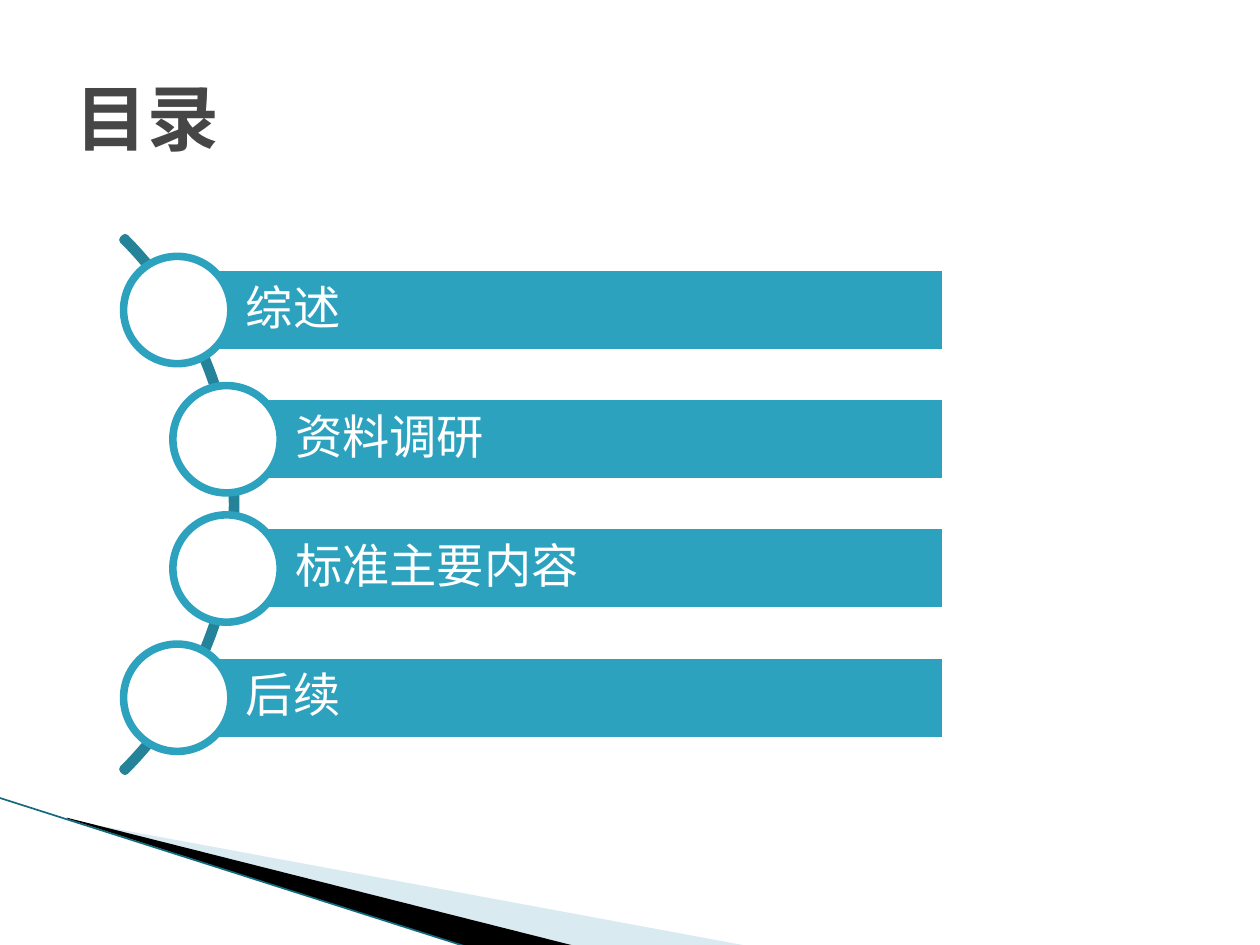
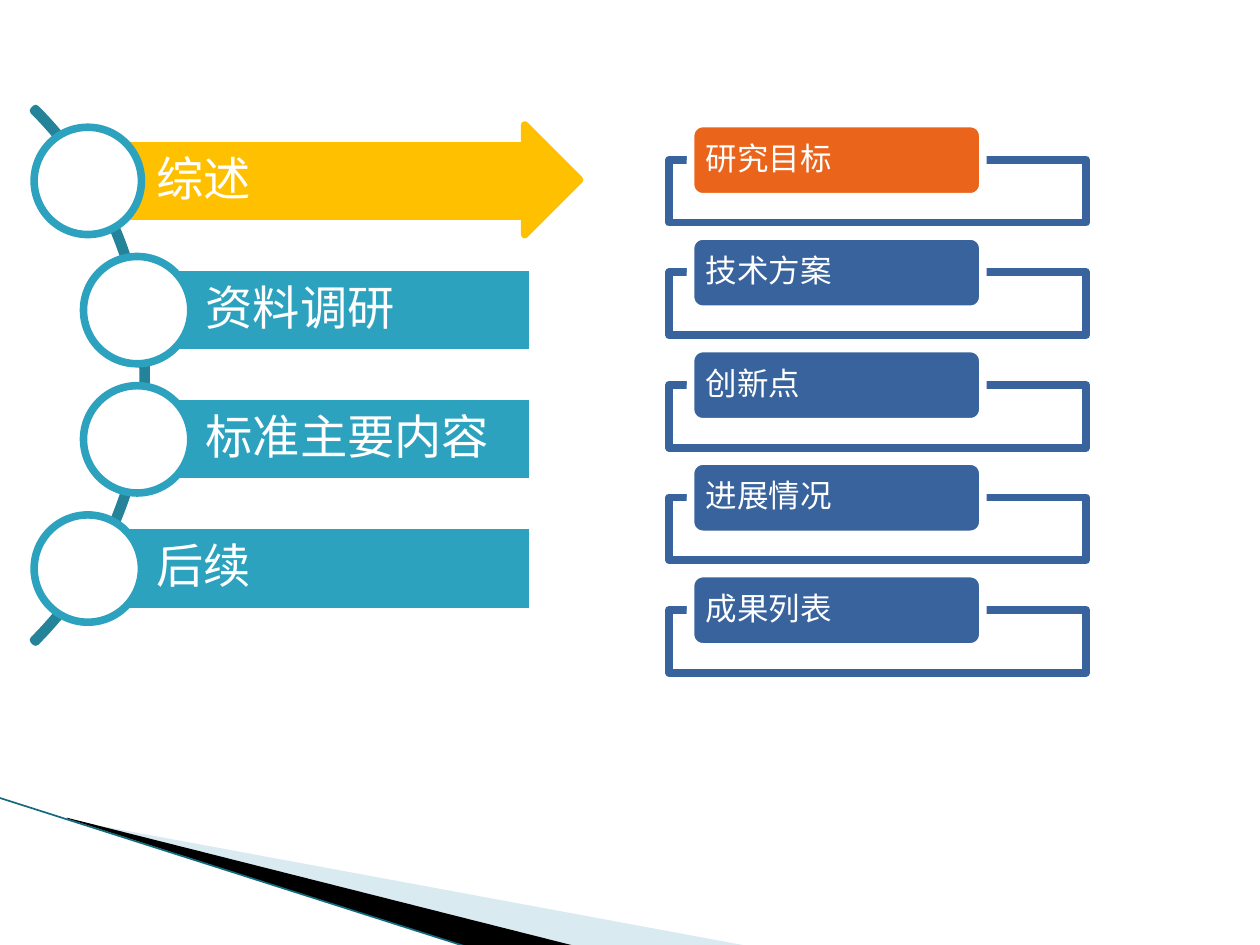
from dataclasses import dataclass

from lxml.etree import SubElement
from pptx import Presentation
from pptx.dml.color import RGBColor
from pptx.enum.shapes import MSO_CONNECTOR, MSO_SHAPE
from pptx.enum.text import MSO_ANCHOR, PP_ALIGN
from pptx.oxml.ns import qn
from pptx.util import Pt

COLORS = {
    "white": "FFFFFF", "black": "000000", "title": "464646",
    "teal": "2DA2BF", "arc": "248299", "gold": "FFC000",
    "blue": "39639D", "orange": "EB641B",
    "pale": "A0CBDC", "edge": "126B7D",
}
FONT = "Courier New"
OUTLINE = 4.33


@dataclass
class Box:
    left: float
    top: float
    width: float
    height: float

    def lengths(self) -> tuple:
        return Pt(self.left), Pt(self.top), Pt(self.width), Pt(self.height)


@dataclass
class Chapter:
    label: str
    indent: float


@dataclass
class Wedge:
    points: list
    color: str
    alpha: int


CHAPTERS = [Chapter("综述", 0), Chapter("资料调研", 28.2),
            Chapter("标准主要内容", 28.2), Chapter("后续", 0)]
TOPICS = ["研究目标", "技术方案", "创新点", "进展情况", "成果列表"]
WEDGES = [
    Wedge([(39.6, 468.7), (428.4, 540.7), (328.3, 540.7), (39.6, 468)], "pale", 40),
    Wedge([(38.2, 467.3), (329, 540.7), (267.8, 541.4), (38.9, 468)], "black", 100),
]
CHAPTER_STEP = 73.85
TOPIC_STEP = 64.3


def rgb(name: str) -> RGBColor:
    return RGBColor.from_string(COLORS[name])


def paint(shape, fill=None, line=None, alpha: int = 100) -> None:
    """Set fill, outline and opacity, and drop the shadow."""
    shape.shadow.inherit = False
    if fill:
        shape.fill.solid()
        shape.fill.fore_color.rgb = rgb(fill)
        if alpha < 100:
            color = shape.fill._xPr.find(qn("a:solidFill"))[0]
            SubElement(color, qn("a:alpha")).set("val", str(alpha * 1000))
    else:
        shape.fill.background()
    if line:
        shape.line.color.rgb = rgb(line)
        shape.line.width = Pt(OUTLINE)
    else:
        shape.line.fill.background()


def add_shape(page, kind, box: Box, fill=None, line=None, alpha: int = 100):
    shape = page.shapes.add_shape(kind, *box.lengths())
    paint(shape, fill, line, alpha)
    return shape


def write(shape, text: str, *, size: float, color: str = "white", bold: bool = False,
          insets: tuple = (7.2, 3.6, 7.2, 3.6), spacing: float = 1.0) -> None:
    frame = shape.text_frame
    frame.word_wrap = True
    frame.vertical_anchor = MSO_ANCHOR.MIDDLE
    (frame.margin_left, frame.margin_top,
     frame.margin_right, frame.margin_bottom) = map(Pt, insets)
    para = frame.paragraphs[0]
    para.alignment = PP_ALIGN.LEFT
    para.line_spacing = spacing
    span = para.add_run()
    span.text = text
    span.font.name = FONT
    span.font.size = Pt(size)
    span.font.bold = bold
    span.font.color.rgb = rgb(color)


def add_page(deck):
    """Add a blank page with the wedges in its lower left corner."""
    page = deck.slides.add_slide(deck.slide_layouts[6])
    for wedge in WEDGES:
        start, *rest = [(Pt(x), Pt(y)) for x, y in wedge.points]
        builder = page.shapes.build_freeform(*start)
        builder.add_line_segments(rest, close=True)
        paint(builder.convert_to_shape(), wedge.color, alpha=wedge.alpha)
    edge = page.shapes.add_connector(
        MSO_CONNECTOR.STRAIGHT, Pt(-0.7), Pt(455.8), Pt(267.8), Pt(541.4))
    edge.line.color.rgb = rgb("edge")
    edge.line.width = Pt(0.95)
    SubElement(edge._element.spPr, qn("a:effectLst"))
    return page


def add_chapters(page, left: float, top: float, right: float, active=None) -> None:
    """Draw the curved chapter list; left and top place its arc."""
    arc = add_shape(page, MSO_SHAPE.BLOCK_ARC, Box(left, top, 431.2, 431.2), line="arc")
    for index, value in enumerate((189, 27, 0.004)):
        arc.adjustments[index] = value
    for row, chapter in enumerate(CHAPTERS):
        offset = row * CHAPTER_STEP
        bar_left = left + 398.2 + chapter.indent
        bar = add_shape(page, MSO_SHAPE.RECTANGLE,
                        Box(bar_left, top + 79.9 + offset, right - bar_left, 49),
                        "gold" if row == active else "teal", "white")
        write(bar, chapter.label, size=27, insets=(38.9, 5, 5, 5), spacing=0.9)
        add_shape(page, MSO_SHAPE.OVAL,
                  Box(bar_left - 31, top + 73.8 + offset, 61.3, 61.3), "white", "teal")


def add_topics(page, active: int) -> None:
    for row, topic in enumerate(TOPICS):
        offset = row * TOPIC_STEP
        add_shape(page, MSO_SHAPE.RECTANGLE, Box(382.3, 91.3 + offset, 238.3, 36),
                  "white", "blue", alpha=90)
        label = add_shape(page, MSO_SHAPE.ROUNDED_RECTANGLE,
                          Box(394.6, 70.6 + offset, 167, 41.8),
                          "orange" if row == active else "blue", "white")
        write(label, topic, size=18, insets=(6.5, 0, 6.5, 0), spacing=0.9)


def main() -> None:
    deck = Presentation()
    deck.slide_width, deck.slide_height = Pt(720), Pt(540)

    # Contents
    page = add_page(deck)
    title = page.shapes.add_textbox(*Box(36, 21.6, 648, 90).lengths())
    write(title, "目录", size=41, color="title", bold=True)
    add_chapters(page, left=-296.6, top=72.7, right=540.7)

    # First chapter and its topics
    page = add_page(deck)
    add_chapters(page, left=-347.7, top=-1.1, right=304.6, active=0)
    add_topics(page, active=0)
    add_shape(page, MSO_SHAPE.STRIPED_RIGHT_ARROW, Box(263.5, 71.5, 67.7, 62.6),
              "gold", "gold")

    deck.save("out.pptx")


if __name__ == "__main__":
    main()
